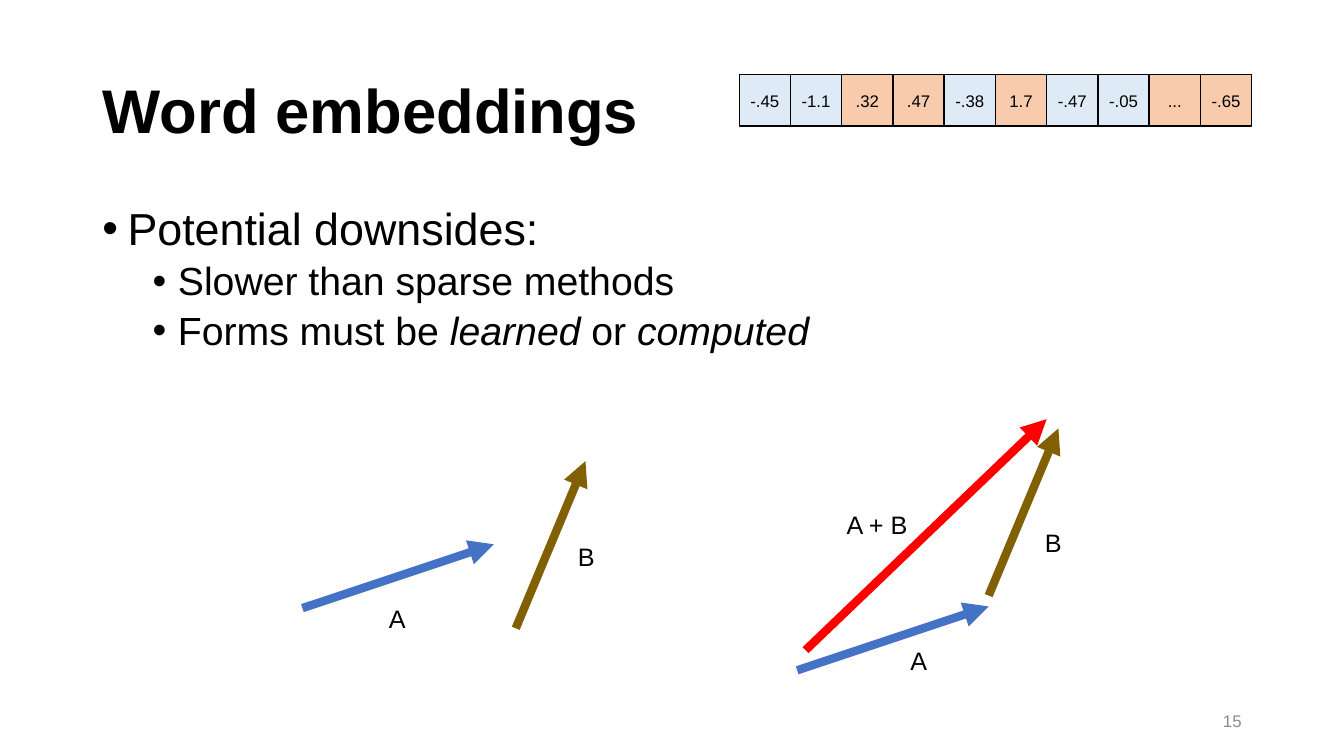
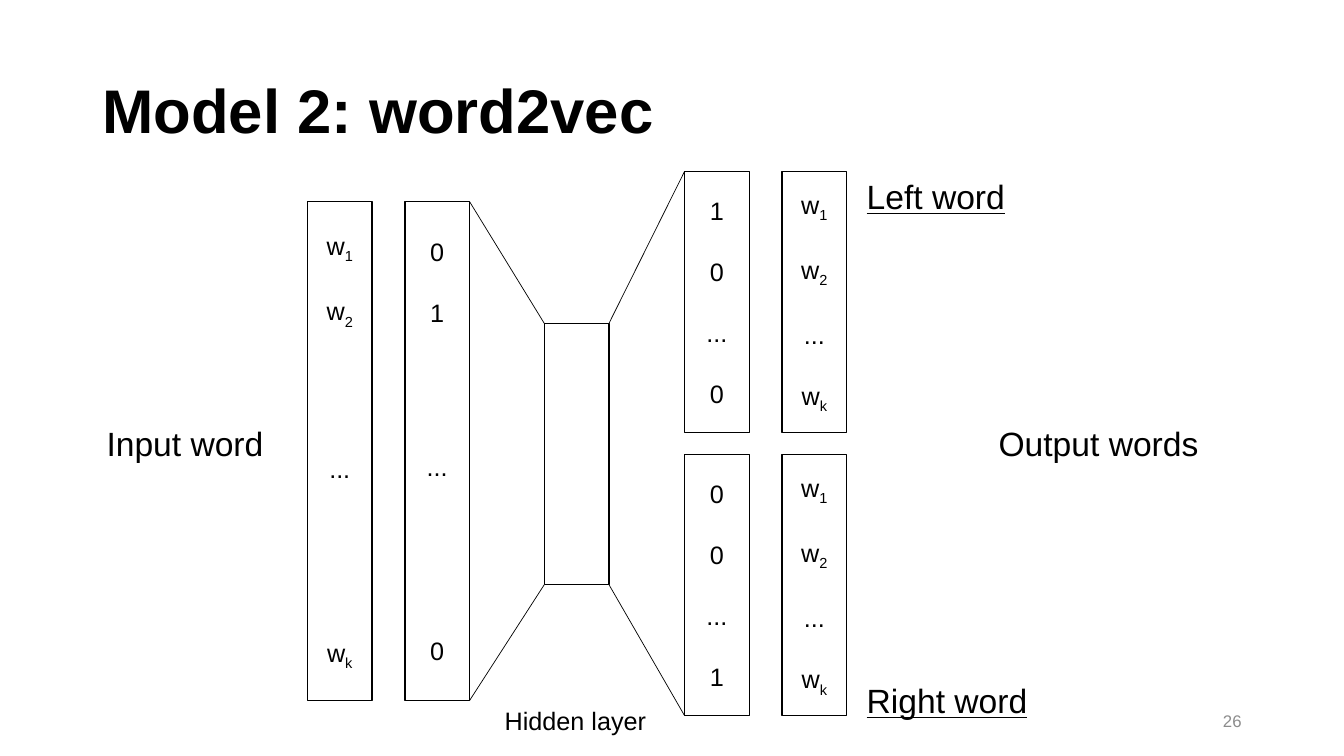
from pptx import Presentation
from pptx.dml.color import RGBColor
from pptx.enum.shapes import MSO_CONNECTOR as Connector, MSO_SHAPE as Shape
from pptx.enum.text import MSO_ANCHOR as Anchor, PP_ALIGN as Align
from pptx.oxml.ns import qn
from pptx.util import Inches, Pt
from lxml.etree import SubElement

WIDTH, HEIGHT = Inches(13.33), Inches(7.5)
COLUMNS, ROWS = 80, 45
MARGIN, CONTENT = 5.5, 69
FONT = "Arial"
BLACK, WHITE, GREY = "000000", "FFFFFF", "8C8C8C"
BLUE, BROWN, RED = "4472C4", "806000", "FF0000"
PALE_BLUE, PALE_ORANGE = "DEEBF7", "F8CBAD"
TITLE_LAYOUT = 5
BAR_WIDTH, BAR_HEIGHT = 3.85, 15.55
BLANK_LINE = 22


def color(value):
    return RGBColor.from_string(value)


def place(left, top, width, height):
    return col(left), row(top), col(width), row(height)


def col(count):
    return round(WIDTH * count / COLUMNS)


def row(count):
    return round(HEIGHT * count / ROWS)


def add_span(para, text, size, tint=BLACK, bold=False, italic=False, underline=False):
    span = para.add_run()
    span.text = text
    font = span.font
    font.name, font.size, font.bold, font.italic = FONT, Pt(size), bold, italic
    font.underline = underline
    font.color.rgb = color(tint)
    return span


def add_subscripted(para, entry, size):
    base, _, index = entry.partition("_")
    add_span(para, base, size)
    if index:
        span = add_span(para, index, size)
        span._r.get_or_add_rPr().set("baseline", "-25000")


def add_page(deck, title, number):
    page = deck.slides.add_slide(deck.slide_layouts[TITLE_LAYOUT])
    box = page.shapes.title
    box.left, box.top, box.width, box.height = place(MARGIN, 2.4, CONTENT, 8.7)
    box.text_frame.vertical_anchor = Anchor.MIDDLE
    para = box.text_frame.paragraphs[0]
    para.alignment, para.line_spacing = Align.LEFT, 0.9
    add_span(para, title, 44, bold=True)
    footer = page.shapes.add_textbox(*place(MARGIN + CONTENT - 18, 41.7, 18, 2.4))
    footer.text_frame.word_wrap = True
    footer.text_frame.vertical_anchor = Anchor.MIDDLE
    para = footer.text_frame.paragraphs[0]
    para.alignment = Align.RIGHT
    add_span(para, str(number), 12, GREY)
    return page


def add_label(page, text, left, top, width, size=18, underline=False):
    box = page.shapes.add_textbox(*place(left, top, width, size / 7.5))
    box.text_frame.word_wrap = False
    add_span(box.text_frame.paragraphs[0], text, size, underline=underline)


def add_bullets(page, items):
    box = page.shapes.add_textbox(*place(MARGIN, 12, CONTENT, 28.5))
    frame = box.text_frame
    frame.word_wrap = True
    for position, (level, spans) in enumerate(items):
        para = frame.add_paragraph() if position else frame.paragraphs[0]
        para.level, para.line_spacing = level, 0.9
        if position:
            para.space_before = Pt(5 if level else 10)
        properties = para._p.get_or_add_pPr()
        properties.set("marL", str(Inches(0.25 + 0.5 * level)))
        properties.set("indent", str(Inches(-0.25)))
        SubElement(properties, qn("a:buFont")).set("typeface", FONT)
        SubElement(properties, qn("a:buChar")).set("char", "•")
        for text, italic in spans:
            add_span(para, text, 28 if level else 32, italic=italic)


def add_block(page, left, top, width, height, fill=WHITE):
    block = page.shapes.add_shape(Shape.RECTANGLE, *place(left, top, width, height))
    block.shadow.inherit = False
    block.fill.solid()
    block.fill.fore_color.rgb = color(fill)
    block.line.color.rgb = color(BLACK)
    block.line.width = Pt(1)
    block.text_frame.word_wrap = True
    block.text_frame.vertical_anchor = Anchor.MIDDLE
    return block


def add_line(page, start, end, tint=BLACK, weight=0.5, arrow=False):
    line = page.shapes.add_connector(
        Connector.STRAIGHT, col(start[0]), row(start[1]), col(end[0]), row(end[1]))
    line.line.color.rgb = color(tint)
    line.line.width = Pt(weight)
    if arrow:
        SubElement(line.line._get_or_add_ln(), qn("a:tailEnd")).set("type", "triangle")
    SubElement(line._element.spPr, qn("a:effectLst"))


def add_vector(page, start, step, tint):
    end = start[0] + step[0], start[1] + step[1]
    add_line(page, start, end, tint, 6, True)


def add_embedding(page, values):
    side = 3.05
    left = MARGIN + CONTENT - side * len(values)
    for position, (value, fill) in enumerate(values):
        cell = add_block(page, left + position * side, 4.45, side, side, fill)
        para = cell.text_frame.paragraphs[0]
        para.alignment = Align.CENTER
        add_span(para, value, 12)


def add_bar(page, left, top, entries=(), gaps=(), height=BAR_HEIGHT):
    frame = add_block(page, left, top, BAR_WIDTH, height).text_frame
    for position, entry in enumerate(entries):
        para = frame.add_paragraph() if position else frame.paragraphs[0]
        para.alignment = Align.CENTER
        if position:
            para.space_before = Pt(BLANK_LINE * gaps[position - 1])
        add_subscripted(para, entry, 18)


def build_embeddings(deck):
    page = add_page(deck, "Word embeddings", 15)
    add_bullets(page, [
        (0, [("Potential downsides:", False)]),
        (1, [("Slower than sparse methods", False)]),
        (1, [("Forms must be ", False), ("learned", True),
             (" or ", False), ("computed", True)]),
    ])
    a_step, b_step, sum_step = (11.4, -3.8), (4.15, -9.95), (14.35, -13.75)
    for start, step, tint in [
        ((47.45, 39.9), a_step, BLUE),
        ((58.85, 35.45), b_step, BROWN),
        ((47.95, 38.7), sum_step, RED),
        ((18, 36.2), a_step, BLUE),
        ((30.7, 37.4), b_step, BROWN),
    ]:
        add_vector(page, start, step, tint)
    for text, left, top, width in [
        ("A", 22.55, 35.6, 2.2),
        ("B", 33.8, 31.9, 2.2),
        ("A + B", 49.8, 30.05, 4.85),
        ("A", 53.6, 38.1, 2.2),
        ("B", 61.6, 31.1, 2.2),
    ]:
        add_label(page, text, left, top, width)
    add_embedding(page, [
        ("-.45", PALE_BLUE), ("-1.1", PALE_BLUE), (".32", PALE_ORANGE),
        (".47", PALE_ORANGE), ("-.38", PALE_BLUE), ("1.7", PALE_ORANGE),
        ("-.47", PALE_BLUE), ("-.05", PALE_BLUE), ("...", PALE_ORANGE),
        ("-.65", PALE_ORANGE),
    ])


def build_word2vec(deck):
    page = add_page(deck, "Model 2: word2vec", 26)
    words = ["w_1", "w_2", "...", "w_k"]
    input_top, input_height, input_gaps = 12, 29.7, (1, 4, 5)
    input_left, hidden_left, output_left = 24.1, 32.4, 40.75
    hidden_top, output_tops = 19.25, (10.2, 27.05)
    add_bar(page, 18.3, input_top, words, input_gaps, input_height)
    add_bar(page, input_left, input_top, ["0", "1", "...", "0"], input_gaps, input_height)
    add_bar(page, hidden_left, hidden_top)
    for top, bits in zip(output_tops, (["1", "0", "...", "0"], ["0", "0", "...", "1"])):
        add_bar(page, output_left, top, bits, (1, 1, 1))
        add_bar(page, 46.55, top, words, (1, 1, 1))
    for input_edge, hidden_edge, output_edge in [
        (input_top, hidden_top, output_tops[0]),
        (input_top + input_height, hidden_top + BAR_HEIGHT, output_tops[1] + BAR_HEIGHT),
    ]:
        add_line(page, (input_left + BAR_WIDTH, input_edge), (hidden_left, hidden_edge))
        add_line(page, (output_left, output_edge), (hidden_left + BAR_WIDTH, hidden_edge))
    for text, left, top, width, underline in [
        ("Left word", 51, 10.2, 9.55, True),
        ("Right word", 51, 40.2, 10.85, True),
        ("Input word", 5.75, 24.9, 10.6, False),
        ("Output words", 58.85, 24.9, 13.2, False),
    ]:
        add_label(page, text, left, top, width, 24, underline)
    add_label(page, "Hidden layer", 29.45, 41.7, 9.7)


def main():
    deck = Presentation()
    deck.slide_width, deck.slide_height = WIDTH, HEIGHT
    build_embeddings(deck)
    build_word2vec(deck)
    deck.save("out.pptx")


if __name__ == "__main__":
    main()
